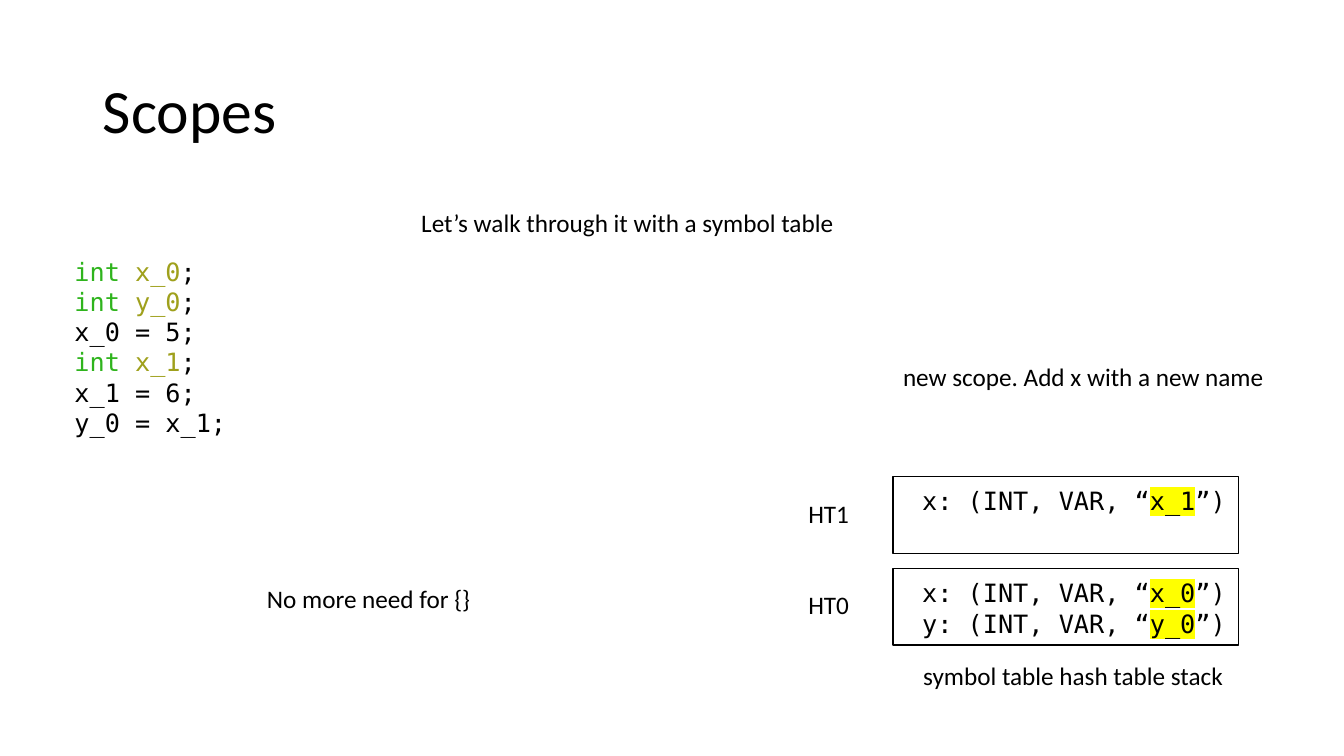
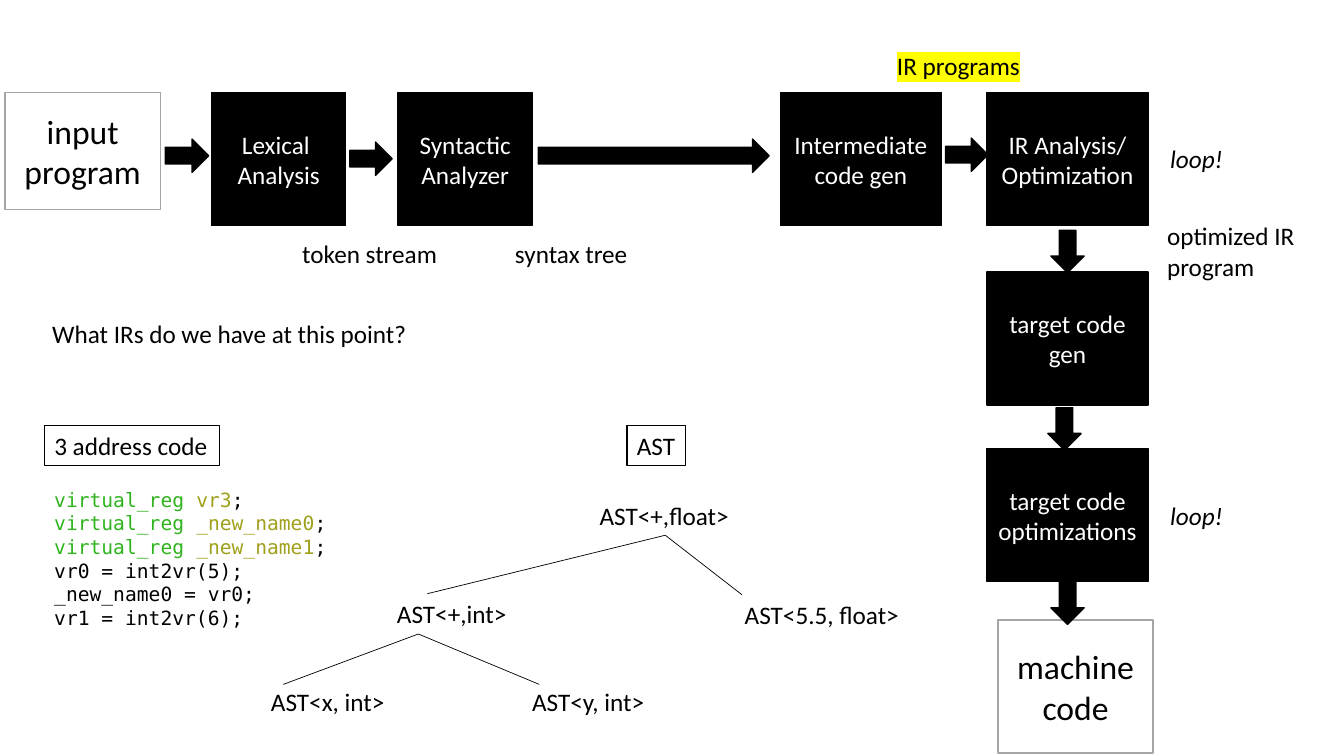
import pptx
import pptx.dml.color
import pptx.enum.dml
import pptx.enum.shapes
import pptx.enum.text
import pptx.oxml
import pptx.oxml.ns
import pptx.util
from lxml import etree

COLUMNS, ROWS = 133.33, 75  # square grid cells, a tenth of an inch each
BLACK, WHITE, GREY, YELLOW = "000000", "FFFFFF", "A5A5A5", "FFFF00"
KEYWORD, VARIABLE = "2FB41D", "9FA01C"
BODY, CODE = "Calibri", "DejaVu Sans Mono"
TITLE_ONLY, BLANK = 5, 6
RECTANGLE = pptx.enum.shapes.MSO_SHAPE.RECTANGLE
ARROW = pptx.enum.shapes.MSO_SHAPE.RIGHT_ARROW
CENTER = pptx.enum.text.PP_ALIGN.CENTER
LEFT = pptx.enum.text.PP_ALIGN.LEFT
MIDDLE = pptx.enum.text.MSO_ANCHOR.MIDDLE
FIT_SHAPE = pptx.enum.text.MSO_AUTO_SIZE.SHAPE_TO_FIT_TEXT


def color(hex_string):
    """Turn a hex string into a colour."""
    return pptx.dml.color.RGBColor.from_string(hex_string)


def declaration(keyword, variable):
    """Return the coloured runs of a variable declaration."""
    return [(keyword, KEYWORD), (" ", None), (variable, VARIABLE), (";", None)]


class Deck:
    """Hold the presentation, its style and the current slide."""

    def __init__(self):
        """Start an empty wide presentation."""
        self.presentation = pptx.Presentation()
        self.presentation.slide_width = pptx.util.Inches(13.33)
        self.presentation.slide_height = pptx.util.Inches(7.5)
        self.slide = None

    def grid(self, *cells):
        """Convert alternating columns and rows to lengths."""
        sizes = (self.presentation.slide_width / COLUMNS,
                 self.presentation.slide_height / ROWS)
        return [round(cell * sizes[index % 2]) for index, cell in enumerate(cells)]

    def add_slide(self, title=None):
        """Add a slide, with its title if one is given."""
        layout = BLANK if title is None else TITLE_ONLY
        self.slide = self.presentation.slides.add_slide(
            self.presentation.slide_layouts[layout])
        if title is not None:
            shape = self.slide.shapes.title
            shape.left, shape.top, shape.width, shape.height = self.grid(
                9.2, 4, 115, 14.5)
            self.set_text(shape, [title], size=44, align=LEFT)
            shape.text_frame.vertical_anchor = MIDDLE
            shape.text_frame.paragraphs[0].line_spacing = 0.9

    def set_text(self, shape, lines, size=18, font=BODY, ink=BLACK, align=None,
                 italic=None):
        """Fill a shape with lines, each a string or a list of (text, colour) runs."""
        frame = shape.text_frame
        for index, line in enumerate(lines):
            paragraph = frame.add_paragraph() if index else frame.paragraphs[0]
            paragraph.alignment = align
            paragraph.font.size = pptx.util.Pt(size)
            paragraph.font.name = font
            paragraph.font.italic = italic
            paragraph.font.color.rgb = color(ink)
            if isinstance(line, str):
                paragraph.text = line
                continue
            for text, run_ink in line:
                run = paragraph.add_run()
                run.text = text
                if run_ink:
                    run.font.color.rgb = color(run_ink)

    def highlight(self, shape, run_index):
        """Mark one run of the first paragraph in yellow."""
        run = shape.text_frame.paragraphs[0].runs[run_index]
        properties = run.font._element
        mark = etree.SubElement(properties, pptx.oxml.ns.qn("a:highlight"))
        etree.SubElement(mark, pptx.oxml.ns.qn("a:srgbClr"), val=YELLOW)

    def text(self, at, *lines, wrap=False, **style):
        """Add a text box."""
        shape = self.slide.shapes.add_textbox(*self.grid(*at))
        shape.text_frame.word_wrap = wrap
        shape.text_frame.auto_size = FIT_SHAPE
        self.set_text(shape, lines, **style)
        return shape

    def outline(self, shape, ink=BLACK, width=1):
        """Give a shape a plain line."""
        shape.line.color.rgb = color(ink)
        shape.line.width = pptx.util.Pt(width)

    def label(self, at, text):
        """Add a heading in a thin frame."""
        self.outline(self.text(at, text), width=0.75)

    def shape(self, at, kind=RECTANGLE, fill=None, line=BLACK):
        """Add a preset shape, hollow unless a fill is given."""
        shape = self.slide.shapes.add_shape(kind, *self.grid(*at))
        shape.shadow.inherit = False
        if fill:
            shape.fill.solid()
            shape.fill.fore_color.rgb = color(fill)
        else:
            shape.fill.background()
        self.outline(shape, line)
        return shape

    def stage(self, at, text):
        """Add a black compiler stage."""
        shape = self.shape(at, fill=BLACK)
        self.set_text(shape, [text], ink=WHITE, align=CENTER)

    def document(self, at, text):
        """Add a white box for what enters or leaves the compiler."""
        shape = self.shape(at, fill=WHITE, line=GREY)
        self.set_text(shape, [text], size=24, align=CENTER)

    def arrow(self, at, rotation=0):
        """Add a black block arrow."""
        self.shape(at, ARROW, BLACK).rotation = rotation

    def edge(self, *ends):
        """Add a thin line between two points."""
        connector = self.slide.shapes.add_connector(
            pptx.enum.shapes.MSO_CONNECTOR.STRAIGHT, *self.grid(*ends))
        self.outline(connector, width=0.5)
        etree.SubElement(connector._element.spPr, pptx.oxml.ns.qn("a:effectLst"))


def scopes(deck):
    """Build the slide on scopes and the symbol table."""
    deck.add_slide("Scopes")
    deck.text((6.4, 24.9, 26.2, 22.2),
              declaration("int", "x_0"), declaration("int", "y_0"), "x_0 = 5;",
              declaration("int", "x_1"), "x_1 = 6;", "y_0 = x_1;",
              wrap=True, font=CODE)
    deck.text((40.8, 20.1, 43.4, 4), "Let’s walk through it with a symbol table")
    deck.text((88.6, 35.4, 38.2, 4), "new scope. Add x with a new name")
    deck.text((25.5, 57.4, 22.4, 4), "No more need for {}")
    deck.text((90.6, 65, 32.1, 4), "symbol table hash table stack")

    tables = [("HT1", ["x_1"]), ("HT0", ["x_0", "y_0"])]
    for index, (table, names) in enumerate(tables):
        top = 47.3 + 9.1 * index
        deck.shape((88.6, top, 34.3, 7.6))
        deck.text((79.2, top + 1.6, 6.1, 4), table)
        for row, name in enumerate(names):
            entry = deck.text(
                (90.5, top + 0.35 + 3.1 * row, 32.2, 4),
                [(f"{name[0]}: (INT, VAR, “", None), (name, None), ("”)", None)],
                font=CODE)
            deck.highlight(entry, 1)


def compiler(deck):
    """Build the slide on the compiler stages and their IRs."""
    deck.add_slide()
    top, height = 9.2, 13.2
    deck.document((0.5, top, 15.4, 11.6), "input program")
    deck.document((99, 61.5, 15.4, height), "machine code")
    for left, stage_top, width, text in [
            (21, top, 13.3, "Lexical \vAnalysis"),
            (39.5, top, 13.3, "Syntactic Analyzer"),
            (77.4, top, 16, "Intermediate code gen"),
            (97.9, top, 16, "IR Analysis/ Optimization"),
            (97.9, 27, 16, "target code gen"),
            (97.9, 44.5, 16, "target code optimizations")]:
        deck.stage((left, stage_top, width, height), text)
    for left, arrow_top, width in [(16.4, 13.8, 4.3), (34.7, 14.1, 4.2),
                                   (53.4, 13.8, 22.9), (93.8, 13.7, 4.2)]:
        deck.arrow((left, arrow_top, width, 3.3))
    for left, arrow_top in [(103.8, 23.3), (103.5, 40.9), (103.8, 58.2)]:
        deck.arrow((left, arrow_top, 4.2, 3.3), rotation=90)

    for loop_top in (13.7, 49.1):
        deck.text((115.1, loop_top, 7.4, 4), "loop!", italic=True)
    deck.text((29, 23.2, 15.5, 4), "token stream")
    deck.text((50.1, 23.2, 13.3, 4), "syntax tree")
    deck.highlight(deck.text((88, 4.5, 14.3, 4), "IR programs"), 0)
    deck.text((114.8, 21.4, 15.4, 7.1), "optimized IR \vprogram")
    deck.text((4.2, 31.1, 37.6, 4), "What IRs do we have at this point?")

    deck.label((4.4, 42.2, 17.4, 4), "3 address code")
    registers = ["vr3", "_new_name0", "_new_name1"]
    deck.text((4.4, 47.9, 31, 15.1),
              *[declaration("virtual_reg", register) for register in registers],
              "vr0 = int2vr(5);", "_new_name0 = vr0;", "vr1 = int2vr(6);",
              wrap=True, font=CODE, size=14)

    deck.label((62.2, 42.2, 5.8, 4), "AST")
    for left, node_top, width, node in [
            (58.5, 49.1, 15, "AST<+,float>"),
            (38.4, 58.9, 13, "AST<+,int>"),
            (72.9, 59, 17.5, "AST<5.5, float>"),
            (25.9, 67.6, 13.4, "AST<x, int>"),
            (51.8, 67.6, 13.3, "AST<y, int>")]:
        deck.text((left, node_top, width, 4), node)
    for parent, children in [((66, 53.1), [(42.4, 58.9), (73.6, 59)]),
                             ((41.5, 62.9), [(28.1, 67.9), (53.5, 67.9)])]:
        for child in children:
            deck.edge(*parent, *child)


deck = Deck()
scopes(deck)
compiler(deck)
deck.presentation.save("out.pptx")
